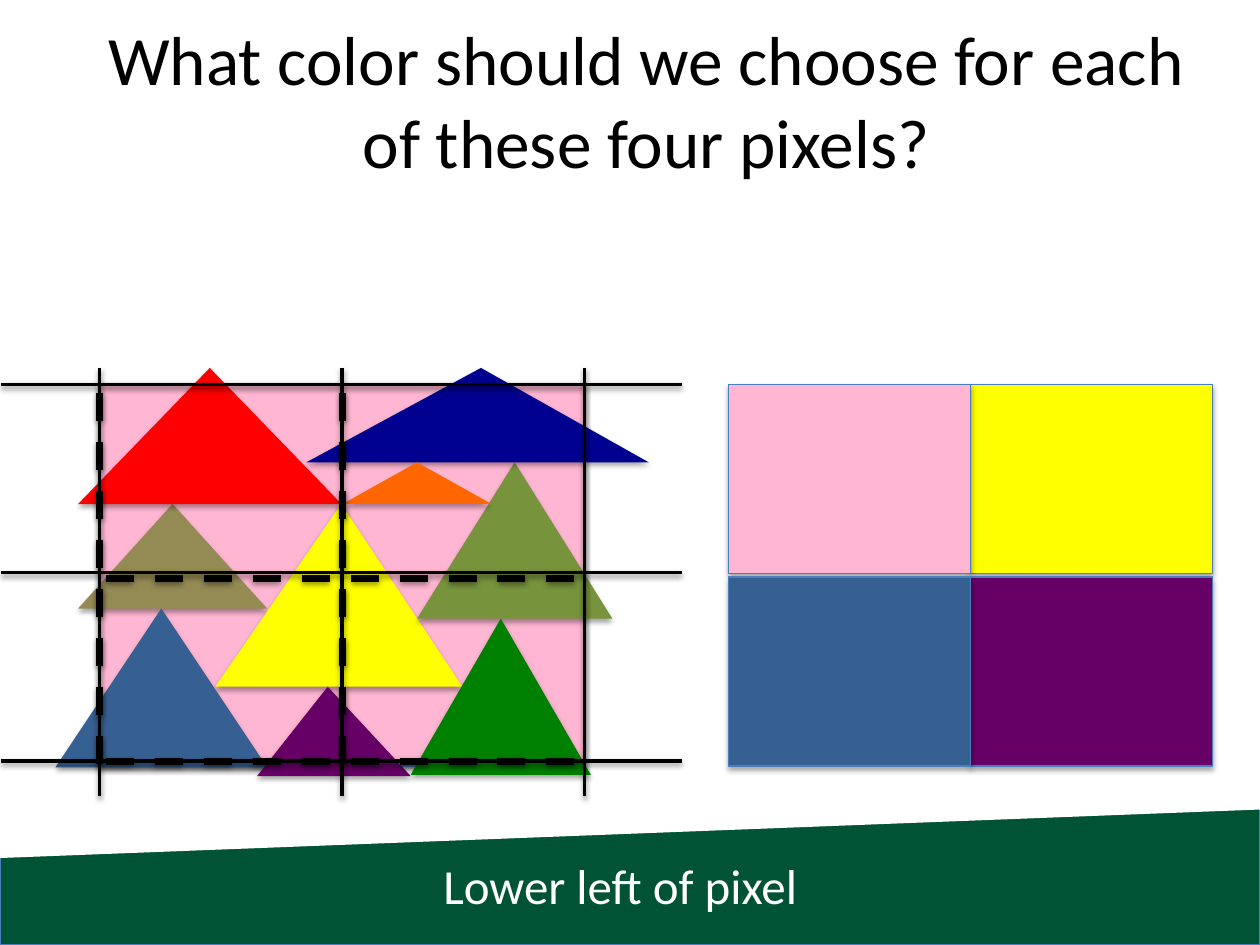
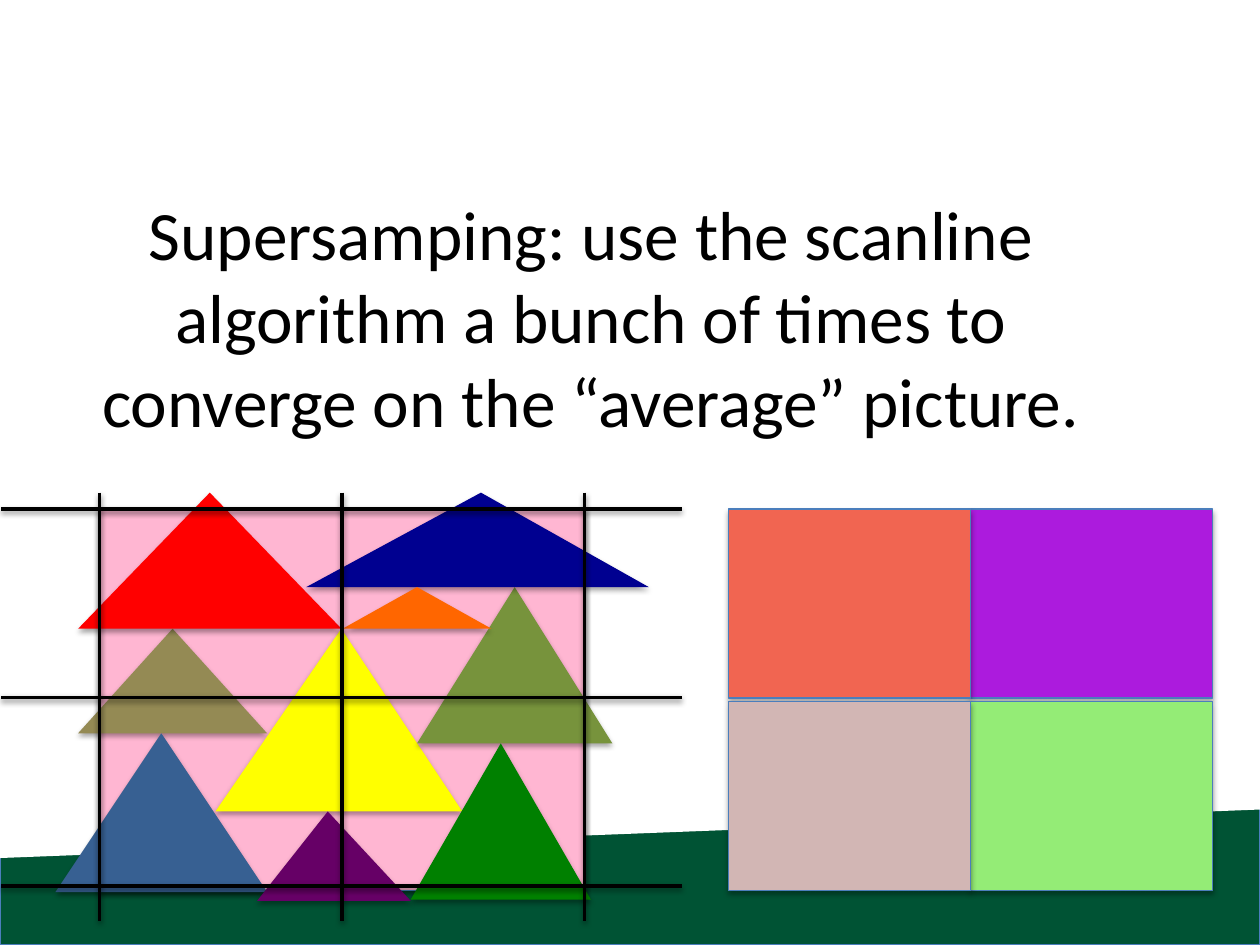
import dataclasses
import itertools
from typing import Any

import lxml.etree
import pptx
import pptx.dml.color
import pptx.enum.dml
import pptx.enum.shapes
import pptx.enum.text
import pptx.oxml.ns
import pptx.util

Inches = pptx.util.Inches
Pt = pptx.util.Pt
SHAPE = pptx.enum.shapes.MSO_SHAPE
qn = pptx.oxml.ns.qn

COLORS = {
    "white": "FFFFFF",
    "black": "000000",
    "band": "005334",
    "border": "4B7EBC",
    "pink": "FFB6D2",
    "khaki": "948A54",
    "yellow": "FFFF00",
    "olive": "77933C",
    "blue": "376092",
    "purple": "660066",
    "green": "008000",
    "red": "FF0000",
    "navy": "000090",
    "orange": "FF6600",
    "coral": "F16551",
    "violet": "AC1BDD",
    "taupe": "D2B6B4",
    "lime": "94EC76",
}
FONT = "Calibri"
GRID_X, GRID_Y, GRID_W, GRID_H = 0.79, 3.05, 3.85, 2.99
COLUMN_LINES = [GRID_X + i * GRID_W / 2 for i in range(3)]
ROW_LINES = [GRID_Y + i * GRID_H / 2 for i in range(3)]
LINE_TOP, LINE_BOTTOM = 2.92, 6.32
LINE_LEFT, LINE_RIGHT = 0.01, 5.41
SWATCH_X, SWATCH_W, SWATCH_H, SWATCH_PITCH = 5.78, 1.92, 1.5, 1.53


@dataclasses.dataclass(frozen=True)
class Triangle:
    color: str
    x: float
    y: float
    w: float
    h: float
    apex: float = 0.5


@dataclasses.dataclass(frozen=True)
class PixelSlide:
    title: str
    title_x: float
    title_y: float
    shift: float
    swatches: tuple[tuple[str, str], tuple[str, str]]


TRIANGLES = [
    Triangle("khaki", 0.62, 4, 1.5, 0.83),
    Triangle("yellow", 1.71, 4, 1.96, 1.45, 0.51),
    Triangle("olive", 3.31, 3.67, 1.55, 1.24),
    Triangle("blue", 0.44, 4.83, 1.68, 1.26),
    Triangle("purple", 2.04, 5.45, 1.22, 0.71, 0.46),
    Triangle("green", 3.26, 4.91, 1.43, 1.24),
    Triangle("red", 0.62, 2.92, 2.09, 1.08),
    Triangle("navy", 2.43, 2.92, 2.72, 0.75, 0.51),
    Triangle("orange", 2.72, 3.67, 1.18, 0.33),
]
LOWER_LEFT = PixelSlide(
    "What color should we choose for each of these four pixels?",
    0.67, 0.25, 0, (("pink", "yellow"), ("blue", "purple")),
)
SUPERSAMPLING = PixelSlide(
    "Supersamping: use the scanline algorithm a bunch of times to "
    "converge on the “average” picture.",
    0.23, 1.97, 0.99, (("coral", "violet"), ("taupe", "lime")),
)


def rgb(name: str) -> pptx.dml.color.RGBColor:
    return pptx.dml.color.RGBColor.from_string(COLORS[name])


def add_shadow(sp: Any, distance: float, opacity: int) -> None:
    effects = lxml.etree.SubElement(sp._element.spPr, qn("a:effectLst"))
    shadow = lxml.etree.SubElement(
        effects, qn("a:outerShdw"), blurRad=str(Pt(3.1)), dist=str(Pt(distance)),
        dir="5400000", rotWithShape="0",
    )
    color = lxml.etree.SubElement(shadow, qn("a:srgbClr"), val=COLORS["black"])
    lxml.etree.SubElement(color, qn("a:alpha"), val=str(opacity * 1000))


def add_shape(shapes: Any, kind: Any, x: float, y: float, w: float, h: float,
              fill: str | None, line: str | None = None, shaded: bool = True) -> Any:
    sp = shapes.add_shape(kind, Inches(x), Inches(y), Inches(w), Inches(h))
    if fill:
        sp.fill.solid()
        sp.fill.fore_color.rgb = rgb(fill)
    else:
        sp.fill.background()
    if line:
        sp.line.color.rgb = rgb(line)
        sp.line.width = Pt(0.75)
    else:
        sp.line.fill.background()
    if shaded:
        add_shadow(sp, 1.8, 35)
    else:
        sp.shadow.inherit = False
    return sp


def add_line(shapes: Any, x1: float, y1: float, x2: float, y2: float,
             width: float = 2, dashed: bool = False) -> None:
    line = shapes.add_connector(
        pptx.enum.shapes.MSO_CONNECTOR.STRAIGHT,
        Inches(x1), Inches(y1), Inches(x2), Inches(y2),
    )
    line.line.color.rgb = rgb("black")
    line.line.width = Pt(width)
    if dashed:
        line.line.dash_style = pptx.enum.dml.MSO_LINE.DASH
    add_shadow(line, 1.6, 38)


def format_run(p: Any, size: float, color: str) -> None:
    font = p.runs[0].font
    font.name = FONT
    font.size = Pt(size)
    font.color.rgb = rgb(color)


def add_band(slide: Any) -> None:
    add_shape(slide.shapes, SHAPE.RECTANGLE, 0, 5.61, 10, 1.89, "band", "border")
    slope = add_shape(slide.shapes, SHAPE.PARALLELOGRAM, 3.84, 0.65, 2.32, 10,
                      "white", shaded=False)
    slope.adjustments[0] = 0.166
    slope.rotation = 90
    slope._element.spPr.find(qn("a:xfrm")).set("flipH", "1")


def set_title(slide: Any, content: PixelSlide) -> None:
    title = slide.shapes.title
    title.left, title.top = Inches(content.title_x), Inches(content.title_y)
    title.width, title.height = Inches(8.92), Inches(1.08)
    tf = title.text_frame
    tf.text = content.title
    tf.word_wrap = True
    tf.auto_size = pptx.enum.text.MSO_AUTO_SIZE.NONE
    tf.vertical_anchor = pptx.enum.text.MSO_ANCHOR.MIDDLE
    p = tf.paragraphs[0]
    p.alignment = pptx.enum.text.PP_ALIGN.CENTER
    format_run(p, 39.6, "black")


def add_scene(slide: Any, shift: float) -> None:
    shapes = slide.shapes.add_group_shape().shapes
    add_shape(shapes, SHAPE.RECTANGLE, GRID_X, GRID_Y + shift, GRID_W, 3.03,
              "pink", "border")
    for t in TRIANGLES:
        sp = add_shape(shapes, SHAPE.ISOSCELES_TRIANGLE, t.x, t.y + shift, t.w, t.h,
                       t.color)
        sp.adjustments[0] = t.apex
    add_shape(shapes, SHAPE.RECTANGLE, GRID_X, GRID_Y + shift, GRID_W, GRID_H,
              None, "black")
    for y in ROW_LINES:
        add_line(shapes, LINE_LEFT, y + shift, LINE_RIGHT, y + shift)
    for x in COLUMN_LINES:
        add_line(shapes, x, LINE_TOP + shift, x, LINE_BOTTOM + shift)


def add_swatches(slide: Any, content: PixelSlide) -> None:
    for row, column in itertools.product((0, 1), (1, 0)):
        add_shape(slide.shapes, SHAPE.RECTANGLE, SWATCH_X + column * GRID_W / 2,
                  GRID_Y + content.shift + row * SWATCH_PITCH, SWATCH_W, SWATCH_H,
                  content.swatches[row][column], "border")


def add_sample_edges(slide: Any) -> None:
    for x in COLUMN_LINES[:2]:
        add_line(slide.shapes, x, 3.12, x, 6.16, 4, True)
    for y in (4.59, 6.04):
        add_line(slide.shapes, 0.84, y, 4.69, y, 4, True)


def add_caption(slide: Any, text: str) -> None:
    box = slide.shapes.add_textbox(Inches(3.42), Inches(6.74), Inches(3.06), Inches(0.57))
    tf = box.text_frame
    tf.text = text
    tf.word_wrap = False
    tf.auto_size = pptx.enum.text.MSO_AUTO_SIZE.SHAPE_TO_FIT_TEXT
    format_run(tf.paragraphs[0], 28, "white")


def add_pixel_slide(prs: Any, content: PixelSlide) -> Any:
    slide = prs.slides.add_slide(prs.slide_layouts[5])
    add_band(slide)
    set_title(slide, content)
    add_scene(slide, content.shift)
    add_swatches(slide, content)
    return slide


def main() -> None:
    prs = pptx.Presentation()
    prs.slide_width, prs.slide_height = Inches(10), Inches(7.5)
    slide = add_pixel_slide(prs, LOWER_LEFT)
    add_sample_edges(slide)
    add_caption(slide, "Lower left of pixel")
    add_pixel_slide(prs, SUPERSAMPLING)
    prs.save("out.pptx")


if __name__ == "__main__":
    main()
